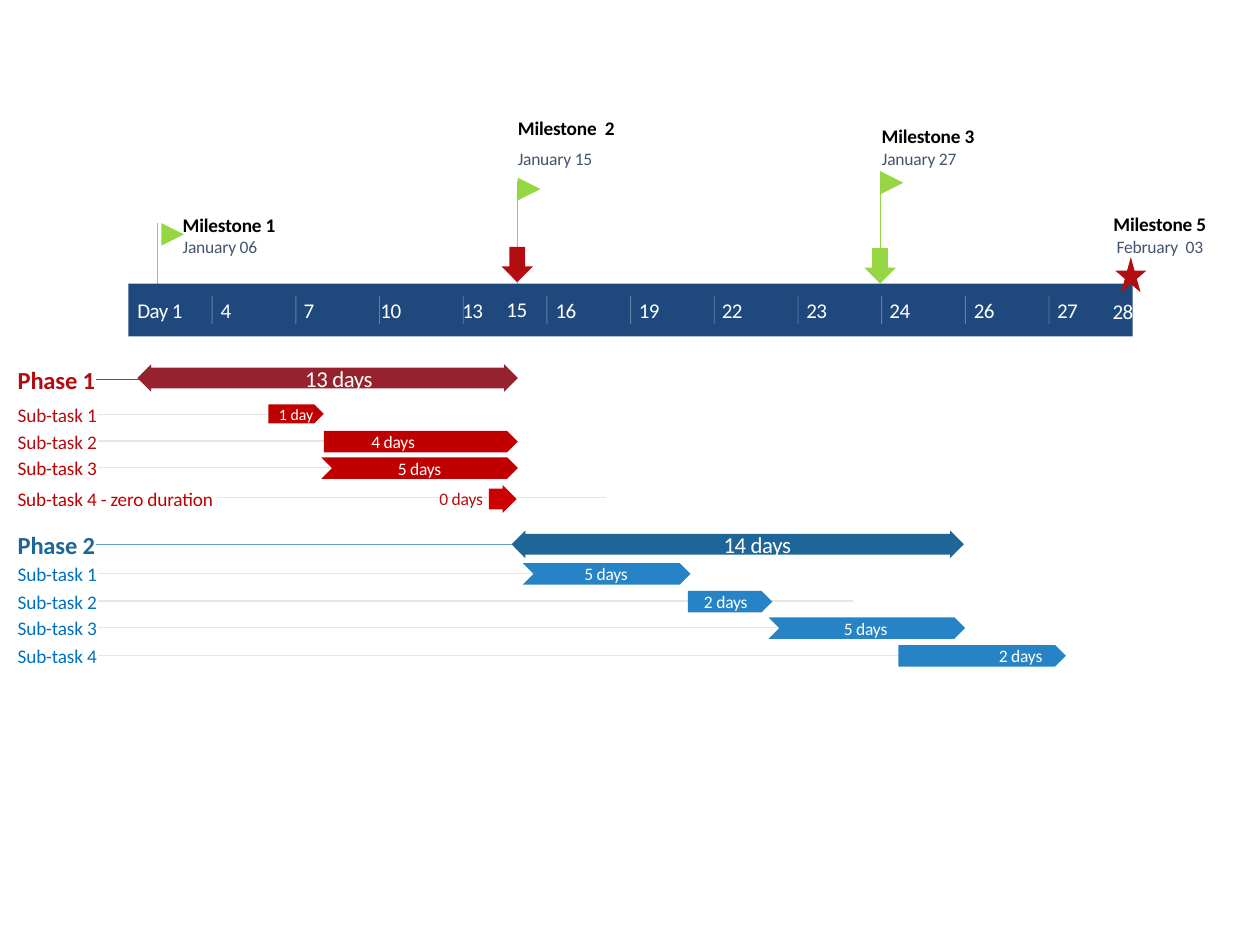
from dataclasses import dataclass
from typing import NamedTuple, Optional

import pptx
import pptx.dml.color
import pptx.enum.shapes
import pptx.enum.text
import pptx.oxml.ns
import pptx.util
from lxml import etree

EMU_PER_PX = 9144  # 100 px to the inch
Shapes = pptx.enum.shapes.MSO_SHAPE
Align = pptx.enum.text.PP_ALIGN
AutoSize = pptx.enum.text.MSO_AUTO_SIZE

COLORS = {
    "white": "FFFFFF", "black": "000000", "navy": "1F497D", "slate": "44546A",
    "rail": "E7E6E6", "green": "96D642", "crimson": "B20E12", "scarlet": "EA161E",
    "wine": "95222E", "red": "C00000", "bright_red": "CC0000",
    "steel": "1E6598", "sky": "5B9BD5", "blue": "2683C6", "azure": "0070C0",
}


class Rect(NamedTuple):
    x: int
    y: int
    w: int
    h: int


class Style(NamedTuple):
    size: int
    spacing: int = -10  # hundredths of a point
    bold: bool = False


DAY = Style(12, -30)
TITLE = Style(11, bold=True)
DATE = Style(10)
PHASE = Style(14, bold=True)
PHASE_DAYS = Style(13, -20)
TASK = Style(11)
TASK_DAYS = Style(10)
SHORT_DAYS = Style(9, 0)


@dataclass
class Milestone:
    title: str
    title_box: Rect
    date: str
    date_box: Rect
    align: Optional[Align] = None
    date_align: Optional[Align] = None
    flag: Optional[tuple] = None  # left, top
    pole: Optional[tuple] = None  # x, top, bottom
    marker: Optional[tuple] = None  # shape, left, top, colour


@dataclass
class Row:
    label: str
    label_box: Rect
    label_color: str
    rail_start: int
    rail_end: int
    shape: Shapes
    bar: Rect
    bar_color: str
    days: str
    days_x: int
    days_w: int = 36
    days_h: int = 17
    label_style: Style = TASK
    days_style: Style = TASK_DAYS
    days_color: str = "white"
    rail_color: str = "rail"


BAND = Rect(102, 225, 797, 42)
# Label and its gap after the tick on its left
DAYS = [("4", 7), ("7", 7), ("10", 1), ("13", 0), ("16", 7), ("19", 7),
        ("22", 7), ("23", 7), ("24", 7), ("26", 7), ("27", 7)]
EXTRA_DAYS = [("Day 1", Rect(109, 236, 37, 20)), ("15", Rect(402, 235, 17, 20)),
              ("28", Rect(883, 237, 17, 20))]

MILESTONES = [
    Milestone("Milestone 1", Rect(145, 169, 75, 19), "January 06", Rect(145, 187, 68, 17),
              flag=(128, 177), pole=(125, 177, 225)),
    Milestone("Milestone  2", Rect(411, 92, 79, 19), "January 15", Rect(411, 117, 83, 17),
              flag=(411, 141), pole=(411, 144, 228),
              marker=(Shapes.DOWN_ARROW, 398, 196, "crimson")),
    Milestone("Milestone 3", Rect(699, 98, 75, 19), "January 27", Rect(700, 117, 83, 17),
              align=Align.CENTER, flag=(699, 136), pole=(699, 136, 220),
              marker=(Shapes.DOWN_ARROW, 686, 197, "green")),
    Milestone("Milestone 5", Rect(883, 168, 75, 19), "February  03", Rect(883, 187, 75, 17),
              align=Align.CENTER, date_align=Align.CENTER,
              marker=(Shapes.STAR_5_POINT, 885, 204, "crimson")),
]


def phase(label: str, y: int, color: str, rail_end: int, rail_color: str,
          bar: Rect, bar_color: str, days: str, days_x: int) -> Row:
    return Row(label, Rect(14, y, 62, 24), color, 76, rail_end, Shapes.LEFT_RIGHT_ARROW, bar,
               bar_color, days, days_x, 56, 22, PHASE, PHASE_DAYS, rail_color=rail_color)


def task(number: int, y: int, color: str, rail_end: int, shape: Shapes, x: int, w: int,
         bar_color: str, days: str, days_x: int) -> Row:
    return Row(f"Sub-task {number}", Rect(14, y, 65, 19), color, 78, rail_end, shape,
               Rect(x, y + 1, w, 17), bar_color, days, days_x)


PLATE, CHEVRON = Shapes.PENTAGON, Shapes.CHEVRON
ROWS = [
    phase("Phase 1", 289, "crimson", 213, "scarlet", Rect(109, 289, 302, 22), "wine",
          "13 days", 241),
    Row("Sub-task 1", Rect(14, 320, 65, 19), "crimson", 78, 213, PLATE, Rect(213, 321, 44, 15),
        "red", "1 day", 221, 28, 15, days_style=SHORT_DAYS),
    task(2, 341, "crimson", 257, PLATE, 257, 154, "red", "4 days", 294),
    task(3, 362, "red", 367, CHEVRON, 255, 156, "red", "5 days", 315),
    Row("Sub-task 4 - zero duration", Rect(14, 386, 160, 19), "red", 172, 481,
        Shapes.RIGHT_ARROW, Rect(388, 385, 22, 22), "bright_red", "0 days", 348,
        days_color="crimson"),
    phase("Phase 2", 420, "steel", 544, "sky", Rect(406, 421, 359, 22), "steel",
          "14 days", 573),
    task(1, 446, "azure", 544, CHEVRON, 415, 133, "blue", "5 days", 463),
    task(2, 468, "azure", 677, PLATE, 546, 67, "blue", "2 days", 558),
    task(3, 489, "azure", 743, CHEVRON, 610, 156, "blue", "5 days", 669),
    task(4, 511, "azure", 743, PLATE, 713, 133, "blue", "2 days", 792),
]


def emu(*lengths: float) -> list:
    return [pptx.util.Emu(round(length * EMU_PER_PX)) for length in lengths]


def rgb(name: str) -> pptx.dml.color.RGBColor:
    return pptx.dml.color.RGBColor.from_string(COLORS[name])


def set_all(target: object, values: dict) -> None:
    for name, value in values.items():
        setattr(target, name, value)


def draw_line(page, x1: float, y1: int, x2: float, y2: int, color: str,
              width: float = 0.75, alpha: int = 100) -> None:
    line = page.shapes.add_connector(pptx.enum.shapes.MSO_CONNECTOR.STRAIGHT,
                                     *emu(x1, y1, x2, y2))
    line.line.width = pptx.util.Pt(width)
    line.line.color.rgb = rgb(color)
    properties = line._element.spPr
    if alpha < 100:
        fill = properties.find(".//" + pptx.oxml.ns.qn("a:srgbClr"))
        etree.SubElement(fill, pptx.oxml.ns.qn("a:alpha"), val=str(alpha * 1000))
    etree.SubElement(properties, pptx.oxml.ns.qn("a:effectLst"))


def draw_shape(page, kind: Shapes, rect: Rect, color: str, rotation: int = 0) -> None:
    shape = page.shapes.add_shape(kind, *emu(*rect))
    shape.shadow.inherit = False
    shape.rotation = rotation
    shape.fill.solid()
    shape.fill.fore_color.rgb = rgb(color)
    shape.line.fill.background()
    if kind in (Shapes.LEFT_RIGHT_ARROW, Shapes.RIGHT_ARROW):
        shape.adjustments[0] = 0.75


def draw_text(page, text: str, rect: Rect, style: Style, color: str,
              align: Optional[Align] = None, wrap: bool = True) -> None:
    box = page.shapes.add_textbox(*emu(*rect))
    set_all(box.text_frame, {
        "margin_left": 0, "margin_top": 0, "margin_right": 0, "margin_bottom": 0,
        "vertical_anchor": pptx.enum.text.MSO_ANCHOR.MIDDLE, "word_wrap": wrap,
        "auto_size": AutoSize.SHAPE_TO_FIT_TEXT if wrap else AutoSize.NONE})
    para = box.text_frame.paragraphs[0]
    para.alignment = align
    span = para.add_run()
    span.text = text
    set_all(span.font, {"name": "Calibri", "size": pptx.util.Pt(style.size), "bold": style.bold})
    span.font.color.rgb = rgb(color)
    span._r.get_or_add_rPr().set("spc", str(style.spacing))


def draw_band(page) -> None:
    draw_shape(page, Shapes.RECTANGLE, BAND, "navy")
    step = BAND.w / (len(DAYS) + 1)
    for index, (day, gap) in enumerate(DAYS, 1):
        tick = BAND.x + index * step
        draw_line(page, tick, 235, tick, 257, "white", 0.5, 30)
        draw_text(page, day, Rect(int(tick) + gap, 236, 8 * len(day), 20), DAY, "white",
                  wrap=False)
    for day, rect in EXTRA_DAYS:
        draw_text(page, day, rect, DAY, "white", wrap=False)


def draw_milestone(page, item: Milestone) -> None:
    if item.marker:
        kind, x, y, color = item.marker
        draw_shape(page, kind, Rect(x, y, 25, 28), color)
    if item.flag:
        draw_shape(page, Shapes.FLOWCHART_MERGE, Rect(*item.flag, 18, 18), "green", 270)
    draw_text(page, item.title, item.title_box, TITLE, "black", item.align)
    draw_text(page, item.date, item.date_box, DATE, "slate", item.date_align)


def draw_row(page, row: Row) -> None:
    draw_shape(page, row.shape, row.bar, row.bar_color)
    days_y = row.bar.y + (row.bar.h - row.days_h) // 2
    draw_text(page, row.days, Rect(row.days_x, days_y, row.days_w, row.days_h),
              row.days_style, row.days_color, Align.CENTER)
    draw_text(page, row.label, row.label_box, row.label_style, row.label_color)


def main() -> None:
    deck = pptx.Presentation()
    deck.slide_width, deck.slide_height = emu(1000, 750)
    page = deck.slides.add_slide(deck.slide_layouts[6])

    # Rails and flag poles lie behind everything else
    for row in ROWS:
        y = row.label_box.y + row.label_box.h // 2
        draw_line(page, row.rail_start, y, row.rail_end, y, row.rail_color)
    for item in MILESTONES:
        if item.pole:
            x, top, bottom = item.pole
            draw_line(page, x, top, x, bottom, "green")

    # Day scale, milestones above it, phases and tasks below it
    draw_band(page)
    for item in MILESTONES:
        draw_milestone(page, item)
    for row in ROWS:
        draw_row(page, row)

    deck.save("out.pptx")


if __name__ == "__main__":
    main()
